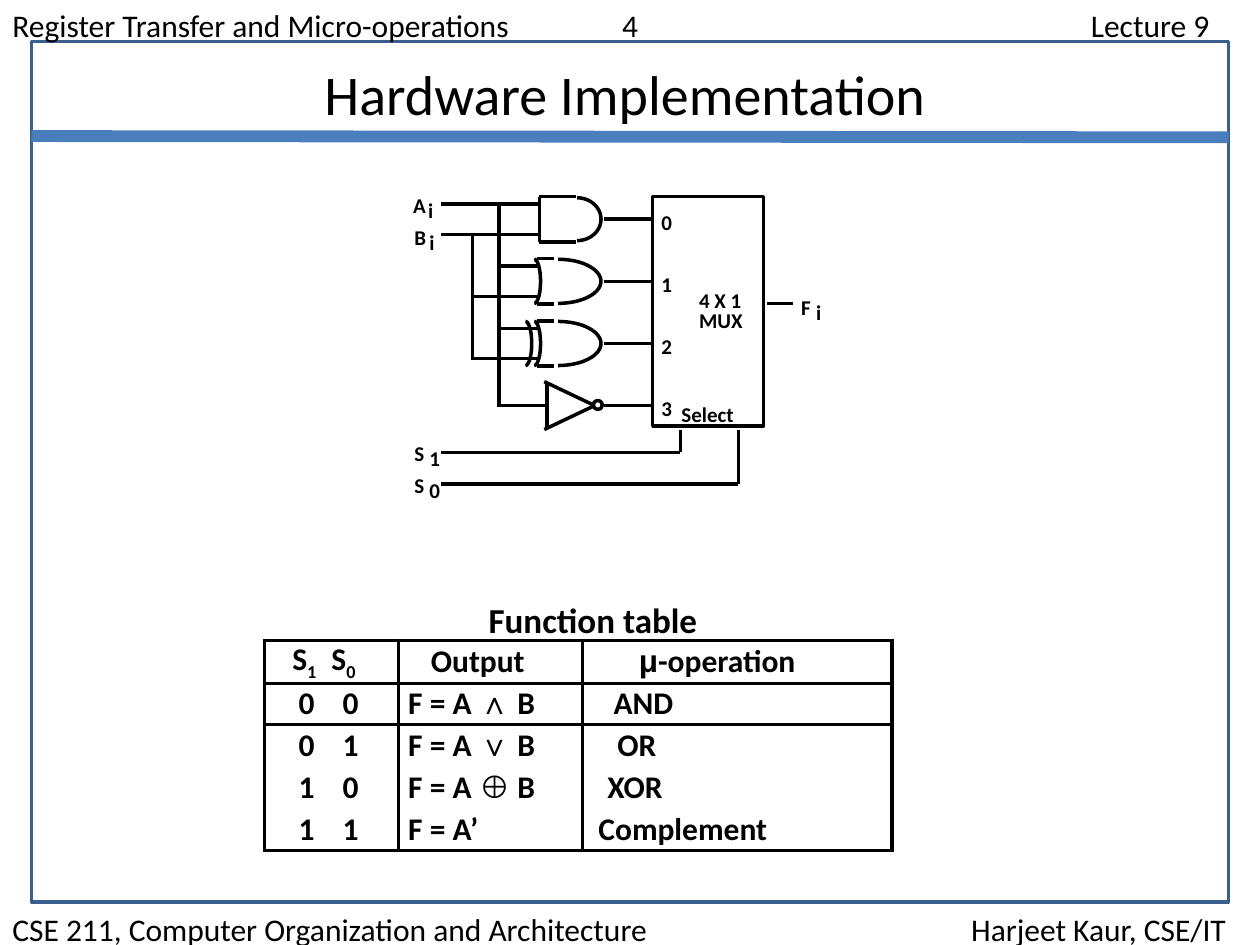
import math

from lxml import etree
from pptx import Presentation
from pptx.dml.color import RGBColor
from pptx.enum.shapes import MSO_CONNECTOR, MSO_SHAPE
from pptx.enum.text import MSO_ANCHOR, PP_ALIGN
from pptx.oxml.ns import qn
from pptx.util import Inches, Pt

STRAIGHT = MSO_CONNECTOR.STRAIGHT
RECT, OVAL = MSO_SHAPE.RECTANGLE, MSO_SHAPE.OVAL
LEFT, CENTER = PP_ALIGN.LEFT, PP_ALIGN.CENTER
MIDDLE = MSO_ANCHOR.MIDDLE

BLACK = RGBColor(0x00, 0x00, 0x00)
FRAME = RGBColor(0x3A, 0x5F, 0x8C)
RULE = RGBColor(0x4B, 0x7E, 0xBC)
NO_STYLE = "{2D5ABB26-0587-4C30-8999-92F81FD0307C}"

COLS, ROWS = 100, 75  # the slide as a grid of tenths of an inch
SYMBOL, SUB = "symbol", "subscript"


def u(n):
    """Length of n grid units."""
    return Inches(n / 10)


class Diagram:
    def __init__(self, prs):
        self.s = prs.slides.add_slide(prs.slide_layouts[6])
        self.width = 2

    def outline(self, sp, color=BLACK):
        sp.fill.background()
        sp.line.color.rgb = color
        sp.line.width = Pt(self.width)
        sp.shadow.inherit = False

    def line(self, x1, y1, x2, y2, color=BLACK, width=None):
        c = self.s.shapes.add_connector(STRAIGHT, u(x1), u(y1), u(x2), u(y2))
        c.line.color.rgb = color
        c.line.width = Pt(width or self.width)
        etree.SubElement(c._element.spPr, qn("a:effectLst"))

    def shape(self, kind, x, y, w, h, color=BLACK):
        self.outline(self.s.shapes.add_shape(kind, u(x), u(y), u(w), u(h)), color)

    def half_ellipse(self, x, y, rx, ry, steps=32):
        """Right half of an ellipse centred on x, y."""
        angles = [math.pi * (k / steps - 0.5) for k in range(steps + 1)]
        points = [(u(x + rx * math.cos(a)), u(y + ry * math.sin(a))) for a in angles]
        fb = self.s.shapes.build_freeform(*points[0])
        fb.add_line_segments(points[1:], close=False)
        self.outline(fb.convert_to_shape())

    def runs(self, p, parts, size, bold):
        """Add runs; a part is a string or a (text, SYMBOL or SUB) pair."""
        for part in parts:
            text, style = part if isinstance(part, tuple) else (part, None)
            r = p.add_run()
            r.text = text
            r.font.name = "Arial" if style == SYMBOL else "Calibri"
            r.font.size = Pt(size)
            r.font.bold = bold
            r.font.color.rgb = BLACK
            if style == SUB:
                r._r.get_or_add_rPr().set("baseline", "-25000")

    def text(self, x, y, w, h, text, size=12, bold=True, wrap=False, align=LEFT, tabs=()):
        tf = self.s.shapes.add_textbox(u(x), u(y), u(w), u(h)).text_frame
        tf.word_wrap = wrap
        p = tf.paragraphs[0]
        p.alignment = align
        if tabs:
            stops = etree.SubElement(p._p.get_or_add_pPr(), qn("a:tabLst"))
            for pos in tabs:
                etree.SubElement(stops, qn("a:tab"), pos=str(u(pos)), algn="l")
        self.runs(p, [text], size, bold)

    def borders(self, cell, sides):
        tcPr = cell._tc.get_or_add_tcPr()
        for i, side in enumerate(sides):
            ln = etree.Element(qn("a:ln" + side), w=str(Pt(self.width)))
            fill = etree.SubElement(ln, qn("a:solidFill"))
            etree.SubElement(fill, qn("a:srgbClr"), val=str(BLACK))
            tcPr.insert(i, ln)

    def table(self, x, y, widths, row_height, rows):
        """Each cell is (indent, part, ...); columns 0 and 1 share one frame."""
        shape = self.s.shapes.add_table(len(rows), len(widths), u(x), u(y),
                                        u(sum(widths)), u(row_height * len(rows)))
        tbl = shape.table
        tbl._tbl.tblPr.find(qn("a:tableStyleId")).text = NO_STYLE
        for col, width in zip(tbl.columns, widths):
            col.width = u(width)
        for i, row in enumerate(rows):
            tbl.rows[i].height = u(row_height)
            for j, (indent, *parts) in enumerate(row):
                cell = tbl.cell(i, j)
                cell.margin_left = u(indent)
                cell.margin_right = cell.margin_top = cell.margin_bottom = 0
                cell.vertical_anchor = MIDDLE
                cell.fill.background()
                drawn = {"L": j != 1, "R": j != 0, "T": i < 2, "B": i in (0, len(rows) - 1)}
                self.borders(cell, [side for side, on in drawn.items() if on])
                self.runs(cell.text_frame.paragraphs[0], parts, 18, True)


def draw_page(d):
    d.shape(RECT, 2.5, 3.3, 95, 68.3, FRAME)
    d.text(0, 0, COLS, 4, "Register Transfer and Micro-operations\t4\tLecture 9",
           18, False, True, tabs=(48.4, 85.6))
    d.text(0, 71.7, COLS, 4,
           "CSE 211, Computer Organization and Architecture\tHarjeet Kaur, CSE/IT",
           18, False, True, tabs=(76.1,))
    d.line(2.5, 10.8, 97.5, 10.9, RULE, 6.75)
    d.text(7.5, 4.2, 84.2, 6.4, "Hardware Implementation", 32, False, True, CENTER)


def draw_circuit(d):
    a_bus, b_bus, gate_left, mux_left = 39.6, 37.5, 42.8, 51.8
    centres = [17.4 + 4.93 * i for i in range(4)]
    and_y, or_y, xor_y, not_y = centres

    # Gates
    d.line(gate_left, and_y - 1.8, gate_left, and_y + 1.8)
    for y in (and_y - 1.8, and_y + 1.8):
        d.line(gate_left, y, 45.7, y)
    d.half_ellipse(45.8, and_y, 1.9, 1.7)
    for gate_y in (or_y, xor_y):
        for y in (gate_y - 1.8, gate_y + 1.8):
            d.line(42.6, y, 44, y)
        d.half_ellipse(44.3, gate_y, 3.4, 1.75)
        d.half_ellipse(42.4, gate_y, 0.5, 1.75)
    d.half_ellipse(41.7, xor_y, 0.5, 1.75)
    for y in (not_y - 1.9, not_y + 1.9):
        d.line(47.2, not_y, 43.2, y)
    d.line(43.4, not_y - 1.8, 43.4, not_y + 1.8)
    d.shape(OVAL, 47.1, not_y - 0.4, 0.7, 0.7)

    # Input wires
    for gate_y, a_start, b_start in ((and_y, 35, 35), (or_y, a_bus, b_bus),
                                     (xor_y, a_bus, b_bus)):
        d.line(gate_left, gate_y - 1.2, a_start, gate_y - 1.2)
        d.line(gate_left, gate_y + 1.2, b_start, gate_y + 1.2)
    d.line(43.5, not_y, a_bus, not_y)
    d.line(a_bus, not_y + 0.1, a_bus, and_y - 1.2)
    d.line(b_bus, and_y + 1.2, b_bus, xor_y + 1.3)

    # Multiplexer
    d.shape(RECT, mux_left, 15.6, 8.8, 18.2)
    for i, y in enumerate(centres):
        d.line(47.9, y, mux_left, y)
        d.text(51.5, y - 1.25, 2.9, 3, str(i))
    d.text(54.5, 22.3, 5.4, 3, "4 X 1")
    d.text(54.5, 23.9, 5.5, 3, "MUX")
    d.text(53.1, 31.4, 6.2, 3, "Select")
    d.line(60.9, 24.1, 62.9, 24.1)
    for x, y in ((54, 35.9), (58.6, 38.4)):
        d.line(x, 34.1, x, y)
        d.line(x, y, 35, y)

    # Signal names
    for x, y, name, index in ((31.8, 14.8, "A", "i"), (31.9, 17.3, "B", "i"),
                              (31.9, 34.5, "S", "1"), (31.9, 37, "S", "0"),
                              (62.6, 22.9, "F", "i")):
        d.text(x, y, 2.9, 3, name)
        d.text(x + 1.2, y + 0.4, 2.4 if index == "i" else 2.9, 3, index)


def draw_function_table(d):
    d.text(37.8, 47, 18.6, 3.8, "Function table", 20)
    rows = [[(2.2, "S", ("1", SUB)), (0.3, "S", ("0", SUB)), (2.6, "Output"),
             (4.5, ("μ", SYMBOL), "-operation")]]
    for s1, s0, symbol, indent, name in (("0", "0", "∧", 2.5, "AND"),
                                         ("0", "1", "∨", 2.8, "OR"),
                                         ("1", "0", "⊕", 2, "XOR"),
                                         ("1", "1", None, 1.3, "Complement")):
        output = ("F = A ", (symbol, SYMBOL), " B") if symbol else ("F = A’",)
        rows.append([(2.7, s1), (1.2, s0), (0.8, *output), (indent, name)])
    d.table(21, 50.8, (5, 5.6, 14.6, 24.6), 3.32, rows)


def main():
    prs = Presentation()
    prs.slide_width, prs.slide_height = u(COLS), u(ROWS)
    d = Diagram(prs)
    draw_page(d)
    draw_circuit(d)
    draw_function_table(d)
    prs.save("out.pptx")


if __name__ == "__main__":
    main()
